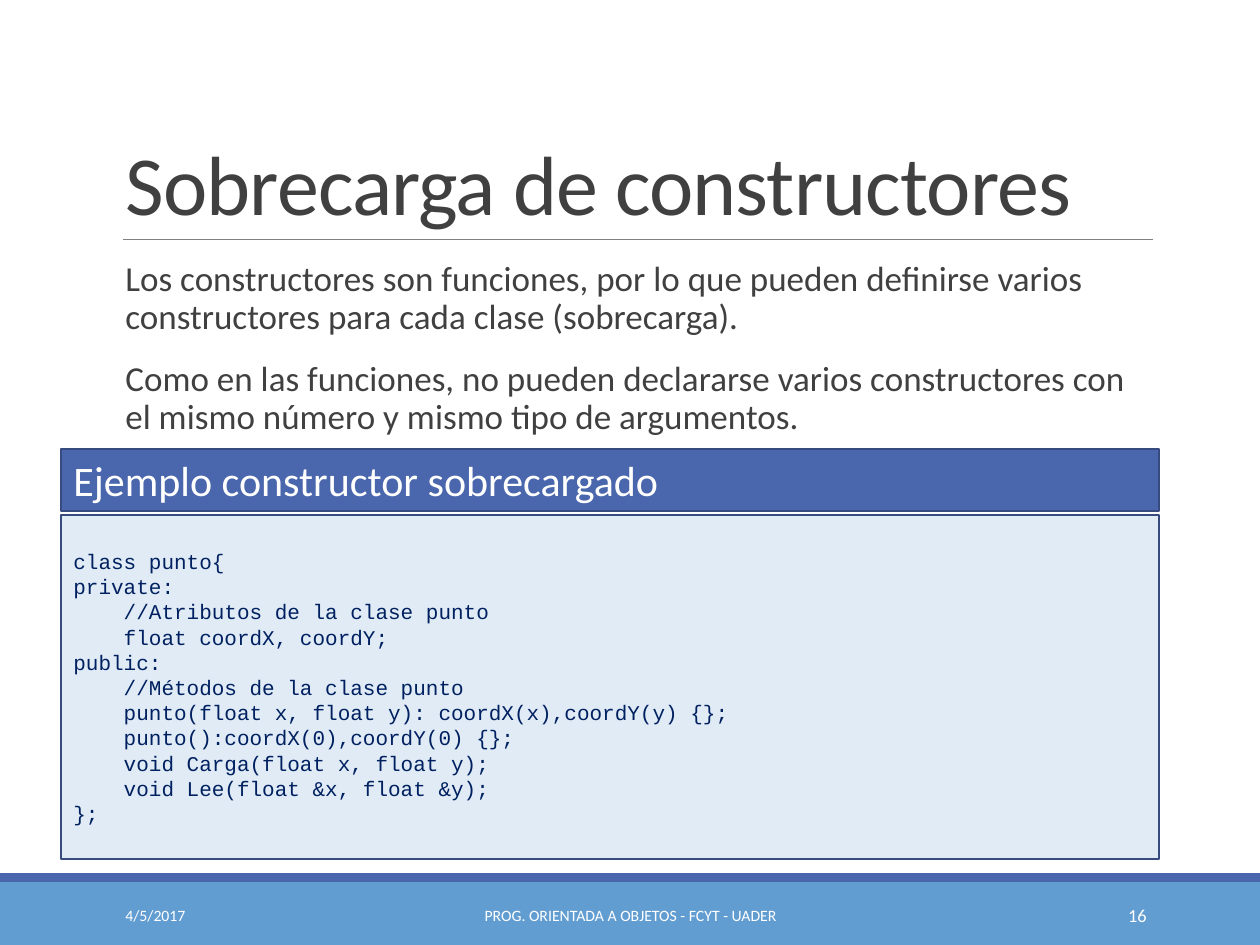
from pptx import Presentation
from pptx import util as u
from pptx.dml.color import RGBColor
from pptx.enum import shapes, text
from pptx.oxml.ns import qn
from lxml import etree

PX = 914400 / 126  # EMU per px
WHITE = RGBColor(0xFF, 0xFF, 0xFF)
DARK = RGBColor(0x40, 0x40, 0x40)
GRAY = RGBColor(0x80, 0x80, 0x80)
BLUE = RGBColor(0x4A, 0x66, 0xAC)
SKY = RGBColor(0x62, 0x9D, 0xD1)
BORDER = RGBColor(0x37, 0x4B, 0x7F)
PALE = RGBColor(0xE0, 0xEB, 0xF6)
NAVY = RGBColor(0x00, 0x20, 0x60)
LEFT, MIDDLE = text.PP_ALIGN.LEFT, text.MSO_ANCHOR.MIDDLE

prs = Presentation()
prs.slide_width, prs.slide_height = u.Inches(10), u.Inches(7.5)
s = prs.slides.add_slide(prs.slide_layouts[5])


def add_rect(box, fill, border=None):
    sp = s.shapes.add_shape(shapes.MSO_SHAPE.RECTANGLE, *[round(v * PX) for v in box])
    sp.shadow.inherit = False
    sp.fill.solid()
    sp.fill.fore_color.rgb = fill
    if border is None:
        sp.line.fill.background()
    else:
        sp.line.color.rgb = border
        sp.line.width = u.Pt(1.25)
    return sp


def write(sp, lines, size, color, font="Calibri", align=LEFT, anchor=MIDDLE):
    tf = sp.text_frame
    tf.word_wrap = True
    tf.auto_size = text.MSO_AUTO_SIZE.NONE
    tf.vertical_anchor = anchor
    tf.text = "\n".join(lines)
    for p in tf.paragraphs:
        p.alignment = align
        p.font.name, p.font.size, p.font.color.rgb = font, u.Pt(size), color
    return tf


# Footer bands
add_rect((0, 882, 1260, 63), SKY)
add_rect((0, 873, 1260, 9), BLUE)

# Title and rule
title = s.shapes.title
title.left, title.top, title.width, title.height = [round(v * PX) for v in (113, 39, 1040, 200)]
tf = write(title, ["Sobrecarga de constructores"], 48, DARK, anchor=text.MSO_ANCHOR.BOTTOM)
p = tf.paragraphs[0]
p.line_spacing = 0.85
p.runs[0].font._element.set("spc", "-50")

rule = s.shapes.add_connector(shapes.MSO_CONNECTOR.STRAIGHT,
                              *[round(v * PX) for v in (123, 239, 1153, 239)])
rule.line.color.rgb = GRAY
rule.line.width = u.Pt(0.5)
etree.SubElement(rule._element.spPr, qn("a:effectLst"))

# Body text
body = s.shapes.add_textbox(*[round(v * PX) for v in (113, 255, 1040, 554)])
tf = write(body, [
    "Los constructores son funciones, por lo que pueden definirse varios "
    "constructores para cada clase (sobrecarga).",
    "Como en las funciones, no pueden declararse varios constructores con "
    "el mismo número y mismo tipo de argumentos.",
], 20, DARK, anchor=text.MSO_ANCHOR.TOP)
tf.margin_right = 0
for p in tf.paragraphs:
    p.line_spacing = 0.9
    p.space_after = u.Pt(2)
tf.paragraphs[1].space_before = u.Pt(12)

# Date, footer and slide number
for x, w, label, size, align in [
    (113, 256, "4/5/2017", 9, LEFT),
    (381, 499, "PROG. ORIENTADA A OBJETOS - FCYT - UADER", 9, text.PP_ALIGN.CENTER),
    (1023, 136, "16", 10.5, text.PP_ALIGN.RIGHT),
]:
    sp = s.shapes.add_textbox(*[round(v * PX) for v in (x, 890, w, 50)])
    write(sp, [label], size, WHITE, align=align)

# Example: heading and code
heading = add_rect((61, 449, 1098, 62), BLUE, BORDER)
write(heading, ["Ejemplo constructor sobrecargado"], 24, WHITE)

code = add_rect((61, 515, 1098, 344), PALE, BORDER)
write(code, [
    "class punto{",
    "private:",
    "    //Atributos de la clase punto",
    "    float coordX, coordY;",
    "public:",
    "    //Métodos de la clase punto",
    "    punto(float x, float y): coordX(x),coordY(y) {};",
    "    punto():coordX(0),coordY(0) {};",
    "    void Carga(float x, float y);",
    "    void Lee(float &x, float &y);",
    "};",
], 12, NAVY, font="Courier New")

prs.save("out.pptx")
